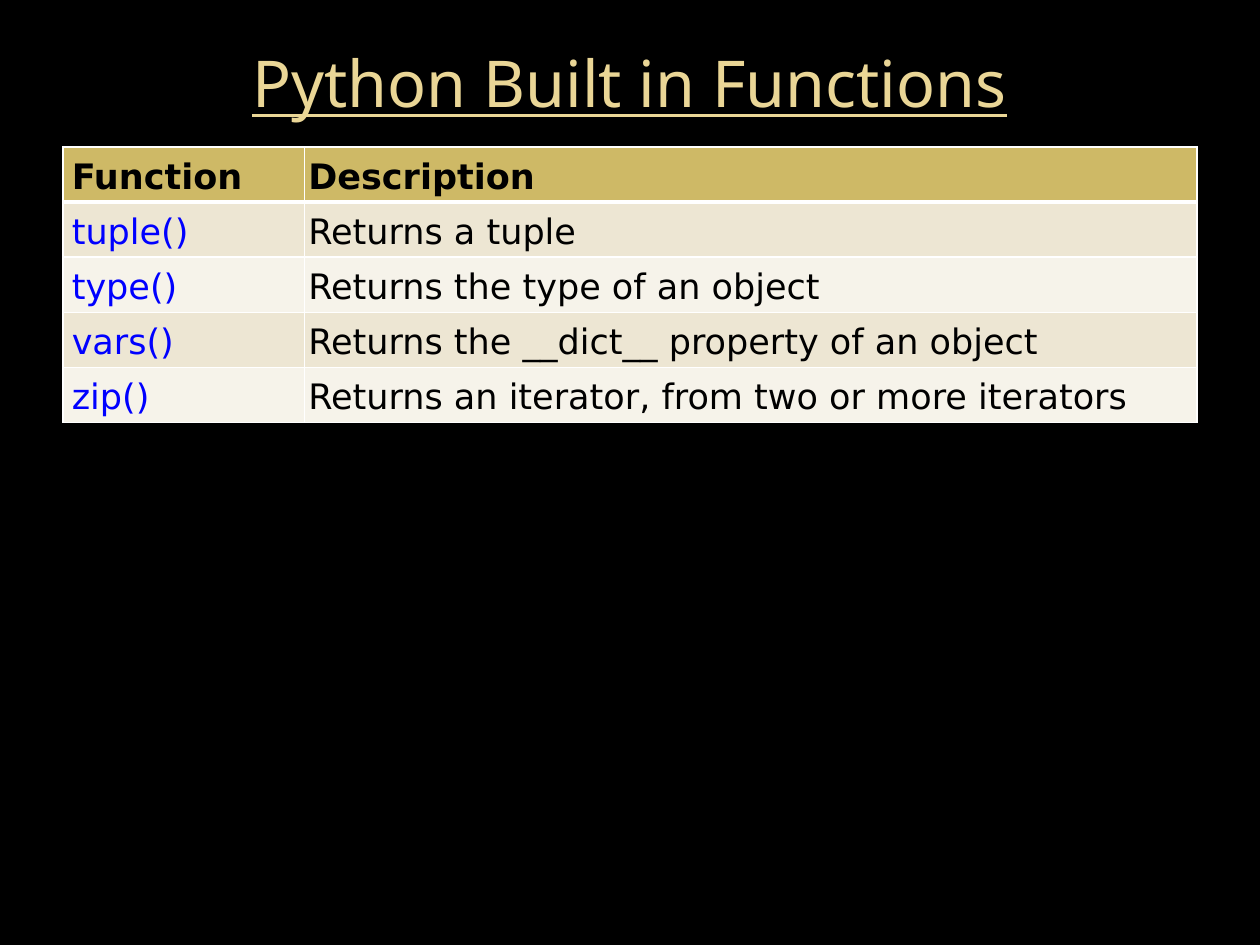
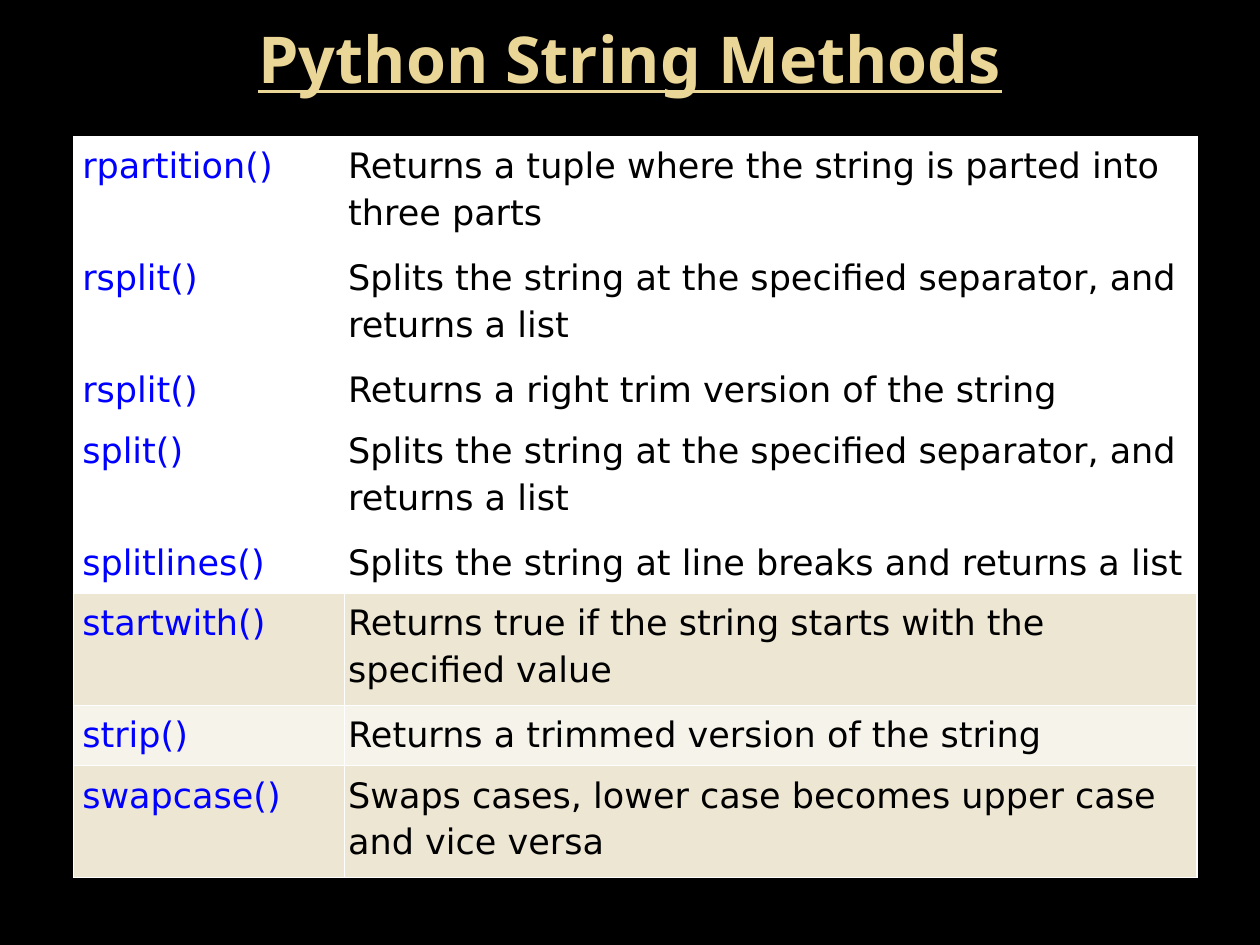
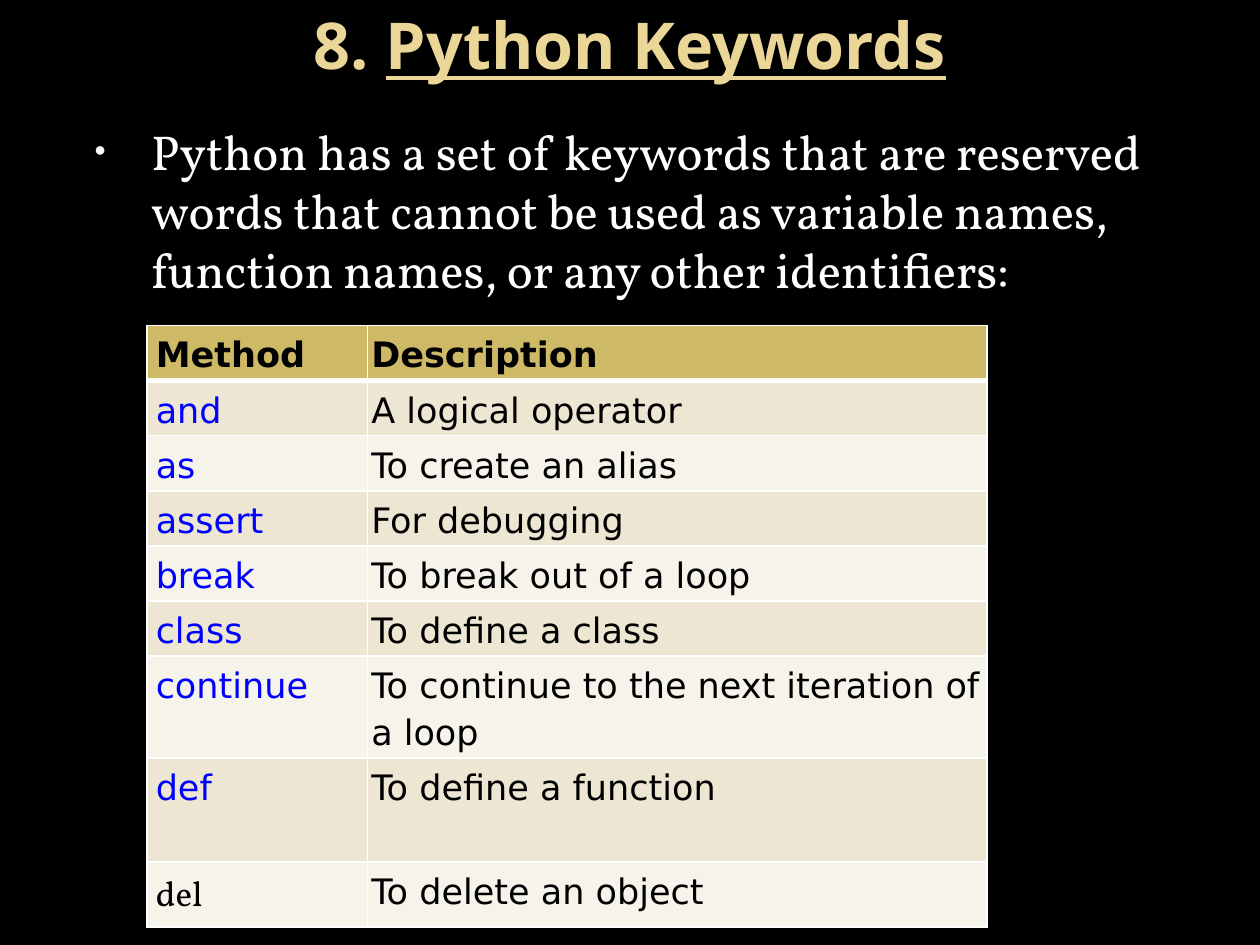
from lxml import etree
from pptx import Presentation
from pptx.dml.color import RGBColor
from pptx.enum.text import MSO_ANCHOR, MSO_AUTO_SIZE, PP_ALIGN
from pptx.oxml.ns import qn
from pptx.util import Inches, Pt

CENTER = PP_ALIGN.CENTER
MIDDLE = MSO_ANCHOR.MIDDLE
TOP = MSO_ANCHOR.TOP
NO_FIT = MSO_AUTO_SIZE.NONE

UNIT = Inches(10) / 120
TITLE_AND_BODY, TITLE_ONLY = 1, 5

BLACK, WHITE = "000000", "FFFFFF"
GOLD, HEADER = "EAD696", "CEB966"
BANDS = ["F6F3EA", "EDE6D3"]
LINK_BLUE, BULLET_GREY = "0000FF", "F9F9F9"

TITLE_FORMAT = {"name": "Noto Sans", "size": Pt(36.9)}
BODY_FORMAT = {"name": "Vollkorn", "size": Pt(28)}
CELL_FORMAT = {"name": "DejaVu Sans", "size": Pt(20), "bold": False}
LINE = 5.25

BUILT_INS = [
    ("Function", "Description"),
    ("tuple()", "Returns a tuple"),
    ("type()", "Returns the type of an object"),
    ("vars()", "Returns the __dict__ property of an object"),
    ("zip()", "Returns an iterator, from two or more iterators"),
]
STRING_METHODS = [
    ("rpartition()", "Returns a tuple where the string is parted into three parts"),
    ("rsplit()", "Splits the string at the specified separator, and returns a list"),
    ("rsplit()", "Returns a right trim version of the string"),
    ("split()", "Splits the string at the specified separator, and returns a list"),
    ("splitlines()", "Splits the string at line breaks and returns a list"),
    ("startwith()", "Returns true if the string starts with the specified value"),
    ("strip()", "Returns a trimmed version of the string"),
    ("swapcase()", "Swaps cases, lower case becomes upper case and vice versa"),
]
KEYWORDS = [
    ("Method", "Description"),
    ("and", "A logical operator"),
    ("as", "To create an alias"),
    ("assert", "For debugging"),
    ("break", "To break out of a loop"),
    ("class", "To define a class"),
    ("continue", "To continue to the next iteration of a loop"),
    ("def", "To define a function"),
    ("del", "To delete an object"),
]
KEYWORD_INTRO = ("Python has a set of keywords that are reserved words that cannot be "
                 "used as variable names, function names, or any other identifiers:")


def rgb(color):
    """Turn a hex string into a colour."""
    return RGBColor.from_string(color)


def grid(count):
    """Turn grid units, 120 across the slide, into a length."""
    return round(count * UNIT)


def apply(target, values):
    """Set each attribute named in a dict of format values."""
    for name, value in values.items():
        setattr(target, name, value)


def place(shape, left, top, width, height):
    """Put a shape on the grid."""
    apply(shape, {"left": grid(left), "top": grid(top),
                  "width": grid(width), "height": grid(height)})


def add_span(para, text, color, values):
    """Add a formatted run to a paragraph."""
    span = para.add_run()
    span.text = text
    apply(span.font, values)
    span.font.color.rgb = rgb(color)


def set_title(page, spans, top, height, bold):
    """Fill the title with (text, underlined) spans."""
    box = page.shapes.title
    place(box, 6, top, 108, height)
    apply(box.text_frame, {"vertical_anchor": MIDDLE, "auto_size": NO_FIT, "word_wrap": True})
    para = box.text_frame.paragraphs[0]
    para.alignment = CENTER
    for text, underlined in spans:
        add_span(para, text, GOLD, {**TITLE_FORMAT, "bold": bold, "underline": underlined})


def add_bullet(para, indent, hanging):
    """Give a paragraph a small round bullet and a hanging indent."""
    props = para._p.get_or_add_pPr()
    props.set("marL", str(Inches(indent)))
    props.set("indent", str(-Inches(hanging)))
    color = etree.SubElement(props, qn("a:buClr"))
    etree.SubElement(color, qn("a:srgbClr"), val=BULLET_GREY)
    etree.SubElement(props, qn("a:buSzPct"), val="65000")
    etree.SubElement(props, qn("a:buChar"), char="•")


def set_body(page, text):
    """Fill the body placeholder with one bulleted paragraph."""
    box = page.placeholders[1]
    place(box, 6, 10, 108, 77)
    apply(box.text_frame, {"vertical_anchor": TOP, "auto_size": NO_FIT,
                           "word_wrap": True, "margin_top": Inches(0.13)})
    para = box.text_frame.paragraphs[0]
    add_bullet(para, 0.6, 0.45)
    para.space_before = Pt(0)
    add_span(para, text, WHITE, BODY_FORMAT)


def add_borders(cell, row):
    """Draw white cell borders, thick between the first two rows."""
    props = cell._tc.get_or_add_tcPr()
    widths = {"L": 1, "R": 1, "T": 3 if row == 1 else 1, "B": 3 if row == 0 else 1}
    for side, width in widths.items():
        line = etree.SubElement(props, qn(f"a:ln{side}"), w=str(Pt(width)))
        fill = etree.SubElement(line, qn("a:solidFill"))
        etree.SubElement(fill, qn("a:srgbClr"), val=WHITE)


def fill_cell(cell, text, row, fill, color, values):
    """Write and format one table cell."""
    add_borders(cell, row)
    cell.fill.solid()
    cell.fill.fore_color.rgb = rgb(fill)
    apply(cell, {f"margin_{side}": Inches(0.03) for side in ("right", "top", "bottom")})
    para = cell.text_frame.paragraphs[0]
    para.line_spacing = 1.15
    add_span(para, text, color, values)


def add_reference_table(page, entries, left, top, columns, heights,
                        header=True, plain_rows=0, serif_names=()):
    """Add a two-column table of names and descriptions."""
    table = page.shapes.add_table(len(entries), 2, grid(left), grid(top),
                                  grid(sum(columns)), grid(sum(heights))).table
    apply(table, {"first_row": header, "horz_banding": False})
    for column, width in zip(table.columns, columns):
        column.width = grid(width)
    for row, (entry, height) in enumerate(zip(entries, heights)):
        table.rows[row].height = grid(height)
        is_header = header and row == 0
        fill = HEADER if is_header else WHITE if row < plain_rows else BANDS[row % 2]
        for column, text in enumerate(entry):
            serif = text in serif_names
            linked = column == 0 and not is_header and not serif
            values = {**CELL_FORMAT, "bold": is_header}
            if serif:
                values["name"] = BODY_FORMAT["name"]
            cell = table.cell(row, column)
            cell.margin_left = Inches(0.03 if column else 0.07)
            fill_cell(cell, text, row, fill, LINK_BLUE if linked else BLACK, values)


def add_page(deck, layout):
    """Add a slide with the chosen layout."""
    return deck.slides.add_slide(deck.slide_layouts[layout])


def main():
    """Build the three slides and save the deck."""
    deck = Presentation()
    deck.slide_width, deck.slide_height = Inches(10), Inches(7.5)
    background = deck.slide_master.background.fill
    background.solid()
    background.fore_color.rgb = rgb(BLACK)

    page = add_page(deck, TITLE_ONLY)
    set_title(page, [("Python Built in Functions", True)], 3.6, 8.4, False)
    add_reference_table(page, BUILT_INS, 6, 14, [23, 85], [LINE] * len(BUILT_INS))

    page = add_page(deck, TITLE_ONLY)
    set_title(page, [("Python String Methods", True)], 2, 7, True)
    tall, short = 10.67, 5.75
    add_reference_table(page, STRING_METHODS, 7, 13, [25.8, 81.2],
                        [tall, tall, short, tall, short, tall, short, tall],
                        header=False, plain_rows=5)

    page = add_page(deck, TITLE_AND_BODY)
    set_title(page, [("8. ", False), ("Python Keywords", True)], 0, 8.4, True)
    set_body(page, KEYWORD_INTRO)
    add_reference_table(page, KEYWORDS, 14, 31, [21, 59],
                        [LINE] * 6 + [9.7, 9.9, 6.2], serif_names=("del",))

    deck.save("out.pptx")


if __name__ == "__main__":
    main()
